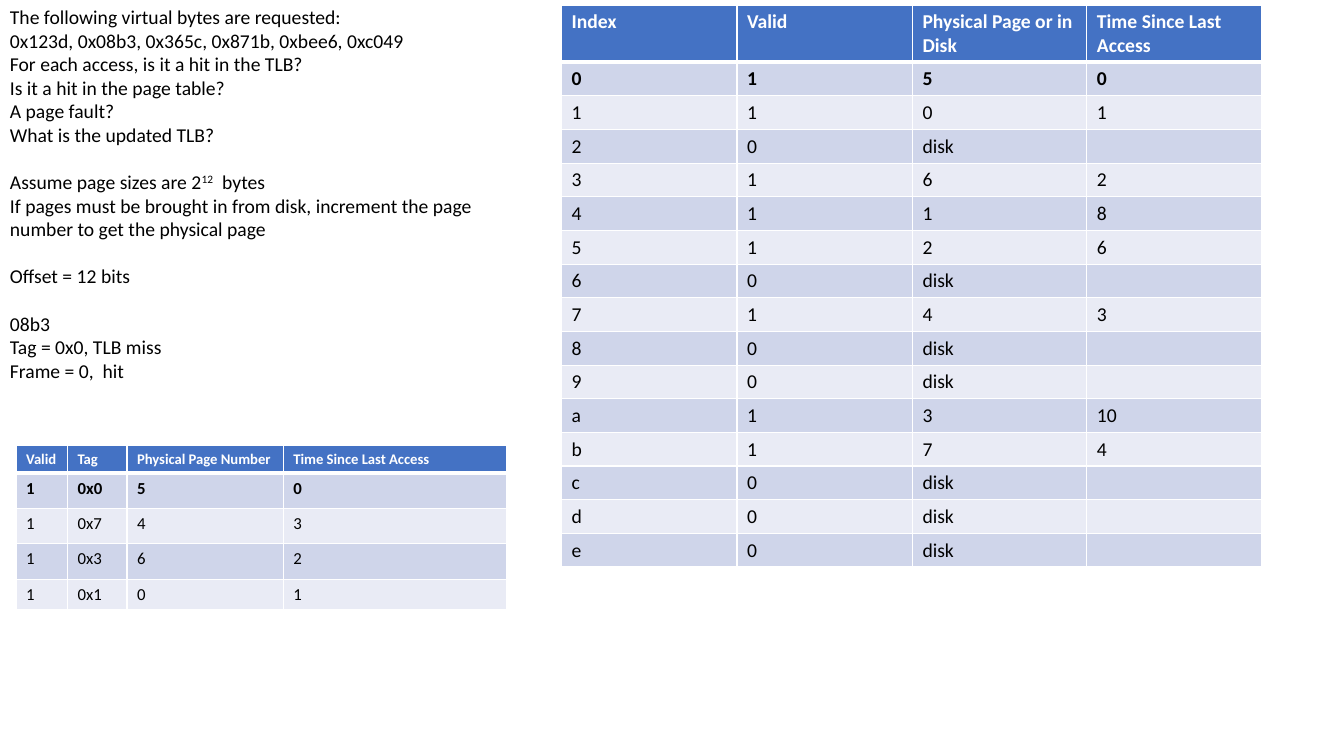
from lxml.etree import SubElement
from pptx import Presentation
from pptx.dml.color import RGBColor
from pptx.enum.text import MSO_AUTO_SIZE
from pptx.oxml.ns import qn
from pptx.util import Inches, Pt

FONT = "Calibri"
BLACK, WHITE = "000000", "FFFFFF"
HEADER_FILL = "4472C4"
BAND_FILLS = ("CFD5EA", "E9EBF5")
BLANK_LINE = 17  # points, one line of the question text

# Each group is set apart by one line; a paragraph is a list of (text, superscript)
QUESTION_GROUPS = [
    [
        [("The following virtual bytes are requested:", False)],
        [("0x123d, 0x08b3, 0x365c, 0x871b, 0xbee6, 0xc049", False)],
        [("For each access, is it a hit in the TLB?", False)],
        [("Is it a hit in the page table?", False)],
        [("A page fault?", False)],
        [("What is the updated TLB?", False)],
    ],
    [
        [("Assume page sizes are 2", False), ("12", True), ("  bytes", False)],
        [("If pages must be brought in from disk, increment the page number "
          "to get the physical page", False)],
    ],
    [[("Offset = 12 bits", False)]],
    [
        [("08b3", False)],
        [("Tag = 0x0, TLB miss", False)],
        [("Frame = 0,  hit", False)],
    ],
]

TLB = [
    ("Valid", "Tag", "Physical Page Number", "Time Since Last Access"),
    ("1", "0x0", "5", "0"),
    ("1", "0x7", "4", "3"),
    ("1", "0x3", "6", "2"),
    ("1", "0x1", "0", "1"),
]

PAGE_TABLE = [
    ("Index", "Valid", "Physical Page or in Disk", "Time Since Last Access"),
    ("0", "1", "5", "0"),
    ("1", "1", "0", "1"),
    ("2", "0", "disk", ""),
    ("3", "1", "6", "2"),
    ("4", "1", "1", "8"),
    ("5", "1", "2", "6"),
    ("6", "0", "disk", ""),
    ("7", "1", "4", "3"),
    ("8", "0", "disk", ""),
    ("9", "0", "disk", ""),
    ("a", "1", "3", "10"),
    ("b", "1", "7", "4"),
    ("c", "0", "disk", ""),
    ("d", "0", "disk", ""),
    ("e", "0", "disk", ""),
]


def rgb(color):
    return RGBColor.from_string(color)


def add_run(paragraph, text, size, color=BLACK, bold=False):
    run = paragraph.add_run()
    run.text = text
    run.font.name = FONT
    run.font.size = Pt(size)
    run.font.bold = bold
    run.font.color.rgb = rgb(color)
    return run


def add_question(slide, left, top, width, height):
    question = slide.shapes.add_textbox(
        Inches(left), Inches(top), Inches(width), Inches(height))
    frame = question.text_frame
    frame.word_wrap = True
    frame.auto_size = MSO_AUTO_SIZE.SHAPE_TO_FIT_TEXT
    paragraph = frame.paragraphs[0]
    for group_number, group in enumerate(QUESTION_GROUPS):
        for line_number, line in enumerate(group):
            if group_number or line_number:
                paragraph = frame.add_paragraph()
            if group_number and not line_number:
                paragraph.space_before = Pt(BLANK_LINE)
            for text, superscript in line:
                run = add_run(paragraph, text, 14)
                if superscript:
                    run.font._element.set("baseline", "30000")


def set_borders(cell, top, bottom):
    properties = cell._tc.get_or_add_tcPr()
    for side, points in (("L", 1), ("R", 1), ("T", top), ("B", bottom)):
        line = SubElement(properties, qn(f"a:ln{side}"), w=str(Pt(points)))
        fill = SubElement(line, qn("a:solidFill"))
        SubElement(fill, qn("a:srgbClr"), val=WHITE)


def fill_cell(cell, text, row, header_size, body_size):
    header = row == 0
    set_borders(cell, top=3 if row == 1 else 1, bottom=3 if header else 1)
    cell.fill.solid()
    cell.fill.fore_color.rgb = rgb(
        HEADER_FILL if header else BAND_FILLS[(row - 1) % 2])
    paragraph = cell.text_frame.paragraphs[0]
    size = header_size if header else body_size
    if text:
        # The header and the latest access are bold
        add_run(paragraph, text, size, WHITE if header else BLACK, row <= 1)
    else:
        # Keeps an empty cell as low as its row
        SubElement(paragraph._p, qn("a:endParaRPr"), sz=str(size * 100))


def add_lookup_table(slide, left, top, entries, column_widths, row_heights,
                     header_size, body_size):
    table = slide.shapes.add_table(
        len(entries), len(column_widths), Inches(left), Inches(top),
        Inches(sum(column_widths)), Inches(sum(row_heights))).table
    for column, width in zip(table.columns, column_widths):
        column.width = Inches(width)
    for row, height in zip(table.rows, row_heights):
        row.height = Inches(height)
    for row, entry in enumerate(entries):
        for column, text in enumerate(entry):
            fill_cell(table.cell(row, column), text, row, header_size, body_size)


def main():
    deck = Presentation()
    deck.slide_width, deck.slide_height = Inches(13.33), Inches(7.5)
    slide = deck.slides.add_slide(deck.slide_layouts[6])

    # Question and worked answer
    add_question(slide, 0, 0, 5.22, 3.87)

    # TLB below the question
    add_lookup_table(slide, 0.16, 4.42, TLB, [0.51, 0.59, 1.55, 2.22],
                     [0.27] + [0.35] * 3 + [0.3], 10.5, 12)

    # Page table on the right
    add_lookup_table(slide, 5.57, 0.05, PAGE_TABLE, [1.74, 1.74, 1.73, 1.73],
                     [0.56] + [0.33] * 15, 14, 14)

    deck.save("out.pptx")


if __name__ == "__main__":
    main()
